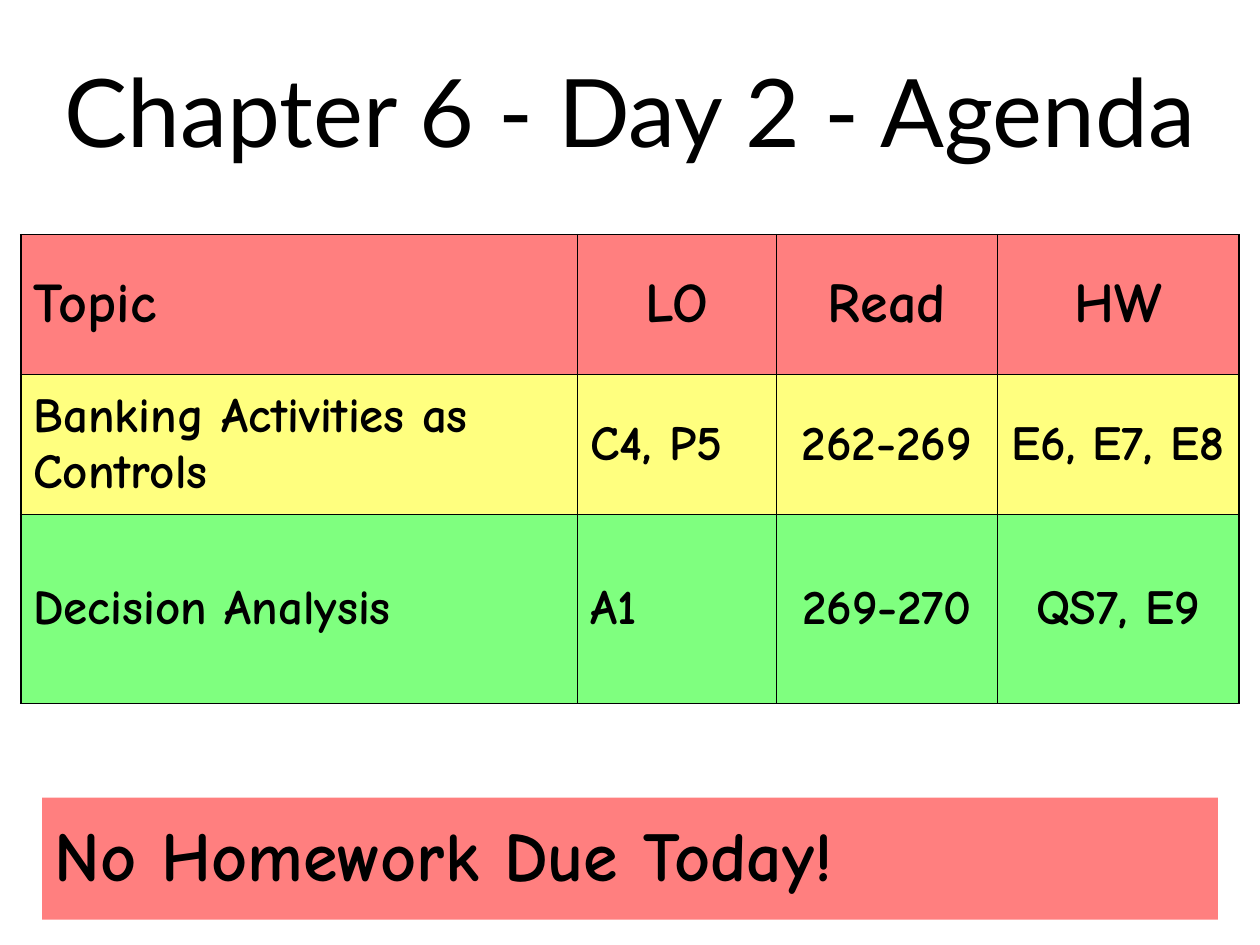
import pptx
import pptx.dml.color
import pptx.enum.text
import pptx.oxml.ns
import pptx.util
from lxml import etree

Cm = pptx.util.Cm
Pt = pptx.util.Pt
ALIGN = pptx.enum.text.PP_ALIGN
ANCHOR = pptx.enum.text.MSO_ANCHOR

RED, YELLOW, GREEN = "FF0000", "FFFF00", "00FF00"
AGENDA = [
    ["Topic", "LO", "Read", "HW"],
    ["Banking Activities as Controls", "C4, P5", "262-269", "E6, E7, E8"],
    ["Decision Analysis", "A1", "269-270", "QS7, E9"],
]


def color(value):
    return pptx.dml.color.RGBColor.from_string(value)


def add_element(parent, tag, **attributes):
    return etree.SubElement(parent, pptx.oxml.ns.qn(tag), **attributes)


class AgendaSlide:
    title_font = "Lato"
    table_font = "Comic Neue"
    ink = "000000"
    inner_line, outer_line = 0.45, 1.08

    def __init__(self, presentation):
        self.slide = presentation.slides.add_slide(presentation.slide_layouts[6])

    def set_text(self, text_frame, text, font, size, space, align, bold=False):
        text_frame.text = text
        text_frame.word_wrap = True
        for paragraph in text_frame.paragraphs:
            paragraph.alignment = align
            paragraph.space_before = Pt(space)
            for run in paragraph.runs:
                run.font.name = font
                run.font.size = Pt(size)
                run.font.bold = bold
                run.font.color.rgb = color(self.ink)

    def title(self, text, left, top, width, height):
        shape = self.slide.shapes.add_textbox(Cm(left), Cm(top), Cm(width), Cm(height))
        self.set_text(shape.text_frame, text, self.title_font, 54, 33.8, ALIGN.CENTER)

    def table(self, left, top, widths, heights):
        shape = self.slide.shapes.add_table(
            len(heights), len(widths), Cm(left), Cm(top), Cm(sum(widths)), Cm(sum(heights)))
        table = shape.table
        table.first_row = table.horz_banding = False
        for column, width in zip(table.columns, widths):
            column.width = Cm(width)
        for row, height in zip(table.rows, heights):
            row.height = Cm(height)
        return table

    def cell(self, cell, text, fill, size, space, align=ALIGN.LEFT, borders=(0, 0, 0, 0)):
        """Fill one cell; borders are point widths for left, right, top, bottom."""
        self.set_text(cell.text_frame, text, self.table_font, size, space, align, True)
        cell.vertical_anchor = ANCHOR.MIDDLE
        properties = cell._tc.get_or_add_tcPr()
        for side, width in zip("LRTB", borders):
            line = add_element(properties, f"a:ln{side}", w=str(int(Pt(width))))
            if width:
                line_fill = add_element(line, "a:solidFill")
                add_element(line_fill, "a:srgbClr", val=self.ink)
            else:
                add_element(line, "a:noFill")
        cell.fill.solid()
        cell.fill.fore_color.rgb = color(fill)
        fill_color = properties.find(pptx.oxml.ns.qn("a:solidFill"))[0]
        add_element(fill_color, "a:alpha", val="50000")

    def agenda(self, rows, fills, left, top, widths, heights):
        table = self.table(left, top, widths, heights)
        last_row, last_column = len(rows) - 1, len(widths) - 1
        for row, (texts, fill) in enumerate(zip(rows, fills)):
            size, space = (32, 8) if row == 0 else (28, 7)
            for column, text in enumerate(texts):
                centered = column > 1 or (row == 0 and column == 1)
                edges = (column == 0, column == last_column, row == 0, row == last_row)
                borders = [self.outer_line if edge else self.inner_line for edge in edges]
                self.cell(table.cell(row, column), text, fill, size, space,
                          ALIGN.CENTER if centered else ALIGN.LEFT, borders)

    def banner(self, text, fill, left, top, width, height):
        table = self.table(left, top, [width], [height])
        self.cell(table.cell(0, 0), text, fill, 40, 10)


def main():
    presentation = pptx.Presentation()
    presentation.slide_width = Cm(25.4)
    presentation.slide_height = Cm(19.05)
    slide = AgendaSlide(presentation)
    slide.agenda(AGENDA, [RED, YELLOW, GREEN], 0.42, 4.73,
                 [11.22, 4.02, 4.44, 4.88], [2.82, 2.82, 3.81])
    slide.title("Chapter 6 - Day 2 - Agenda", 0, 0.94, 25.4, 2.54)
    slide.banner("No Homework Due Today!", RED, 0.85, 16.08, 23.7, 2.46)
    presentation.save("out.pptx")


if __name__ == "__main__":
    main()
